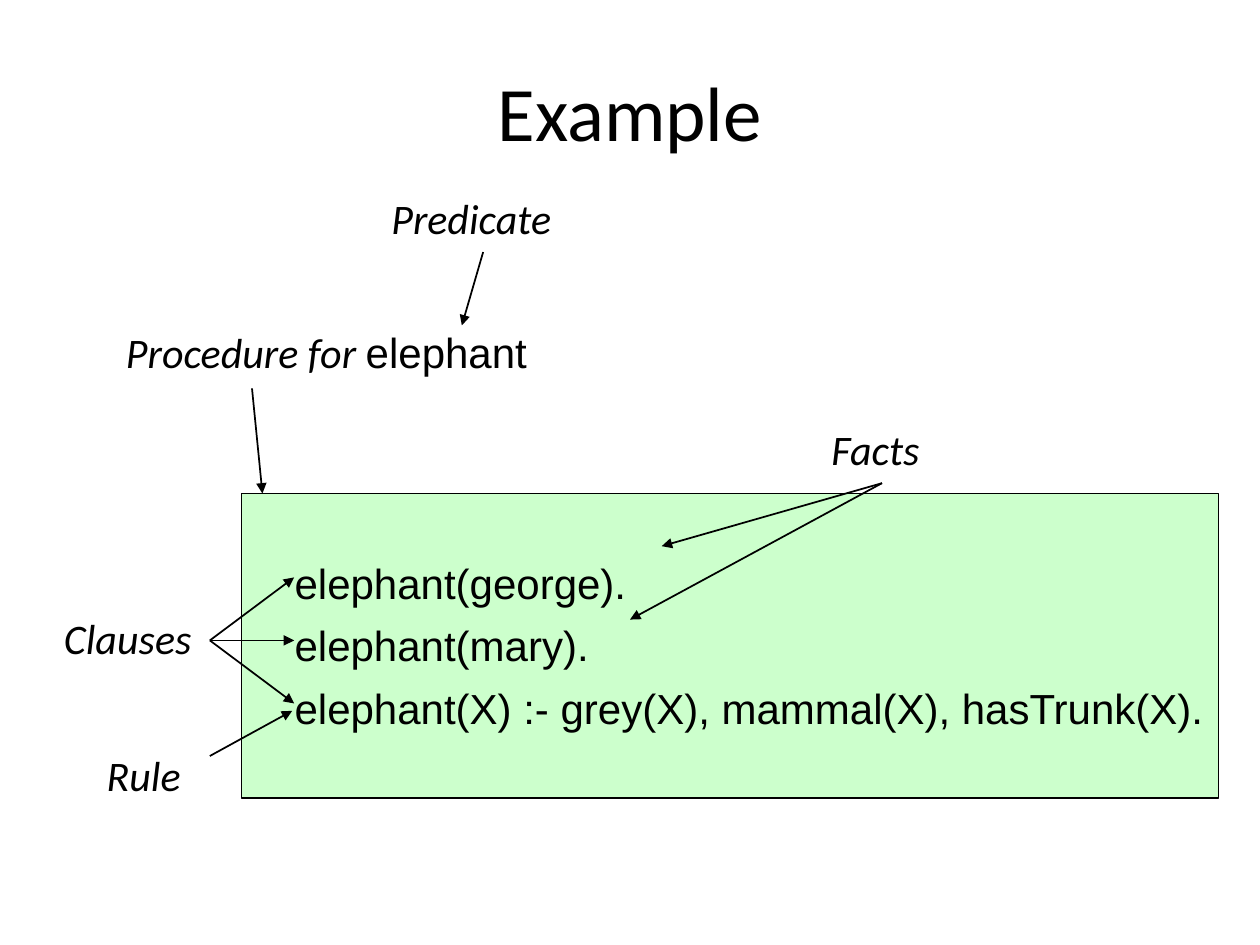
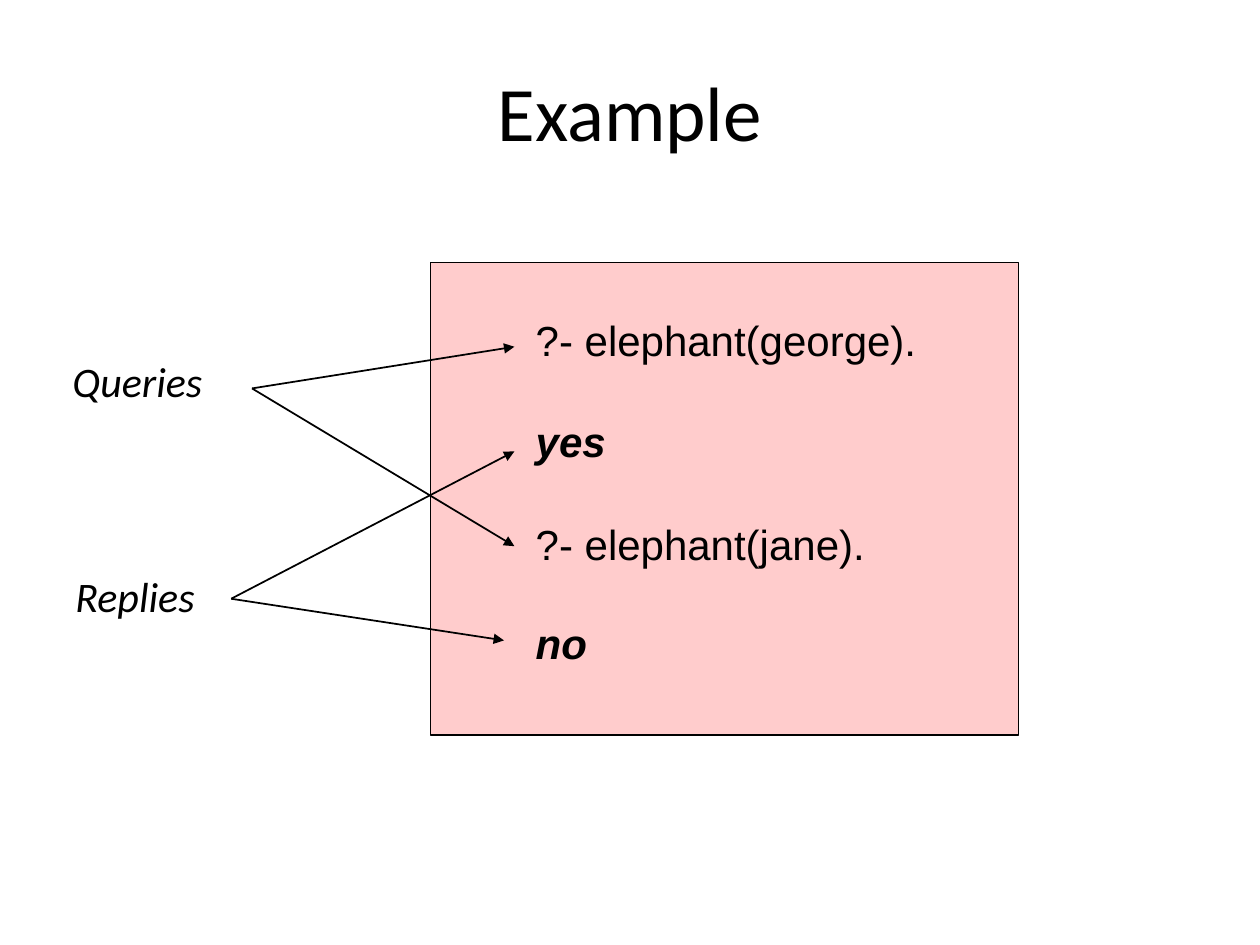
from lxml import etree
from pptx import Presentation
from pptx.dml.color import RGBColor
from pptx.enum.shapes import MSO_CONNECTOR, MSO_SHAPE
from pptx.enum.text import PP_ALIGN
from pptx.oxml.ns import qn
from pptx.util import Cm, Pt

LINE = MSO_CONNECTOR.STRAIGHT
RECT = MSO_SHAPE.RECTANGLE
MID, LEFT = PP_ALIGN.CENTER, PP_ALIGN.LEFT

HUES = {"ink": "000000", "green": "CCFFCC", "pink": "FFCCCC"}
WIDE, HIGH = 25.4, 19.05
ROW = 1.08

STYLES = {
    "title": ("Calibri", 44, False, False),
    "label": ("Calibri", 24, False, True),
    "code": ("Arial", 24, False, False),
    "reply": ("Arial", 24, True, True),
}

TITLE = (0, 1.3, WIDE, [[("Example", "title")]])

SLIDES = [
    {
        "panel": (4.87, 9.95, 19.69, 6.14, "green"),
        "texts": [
            (7.89, 3.89, 3.6, [[("Predicate", "label")]]),
            (2.54, 6.58, 8.8, [[("Procedure for ", "label"), ("elephant", "code")]]),
            (16.76, 8.53, 2.2, [[("Facts", "label")]]),
            (1.29, 12.34, 2.9, [[("Clauses", "label")]]),
            (2.15, 15.11, 1.9, [[("Rule", "label")]]),
            (5.94, 11.23, 18.8, [
                [("elephant(george).", "code")],
                [("elephant(mary).", "code")],
                [("elephant(X) :- grey(X), mammal(X), hasTrunk(X).", "code")],
            ]),
        ],
        "fans": [
            ((9.74, 5.08), [(9.31, 6.56)]),
            ((5.08, 7.83), [(5.29, 9.95)]),
            ((4.23, 12.91), [(5.93, 12.91 + 1.27 * n) for n in (-1, 0, 1)]),
            ((4.23, 15.24), [(5.89, 14.33)]),
            ((17.78, 9.74), [(13.34, 11.01), (12.7, 12.49)]),
        ],
    },
    {
        "panel": (8.68, 5.29, 11.85, 9.53, "pink"),
        "texts": [
            (10.8, 6.35, 8.5, [[("?- elephant(george).", "code")]]),
            (10.8, 8.38, 2, [[("yes", "reply")]]),
            (10.8, 10.46, 7.5, [[("?- elephant(jane).", "code")]]),
            (10.8, 12.45, 2, [[("no", "reply")]]),
            (1.46, 7.16, 3, [[("Queries", "label")]]),
            (1.52, 11.5, 3, [[("Replies", "label")]]),
        ],
        "fans": [
            ((5.08, 7.83), [(10.37, 6.99), (10.37, 11.01)]),
            ((4.66, 12.07), [(10.37, 9.1), (10.16, 12.91)]),
        ],
    },
]


def hue(name):
    return RGBColor.from_string(HUES[name])


def add_panel(slide, x, y, w, h, fill):
    panel = slide.shapes.add_shape(RECT, Cm(x), Cm(y), Cm(w), Cm(h))
    panel.shadow.inherit = False
    panel.fill.solid()
    panel.fill.fore_color.rgb = hue(fill)
    panel.line.color.rgb = hue("ink")
    panel.line.width = Pt(0.75)


def add_text(slide, x, y, w, rows, align=LEFT):
    size = STYLES[rows[0][0][1]][1]
    high = ROW * len(rows) * size / 24
    frame = slide.shapes.add_textbox(Cm(x), Cm(y), Cm(w), Cm(high)).text_frame
    frame.word_wrap = True
    frame.margin_left = frame.margin_right = 0
    frame.margin_top = frame.margin_bottom = 0
    for n, row in enumerate(rows):
        para = frame.add_paragraph() if n else frame.paragraphs[0]
        para.alignment = align
        para.space_before = Pt(7 if n else 0)
        for words, style in row:
            run = para.add_run()
            run.text = words
            font = run.font
            font.name, size, font.bold, font.italic = STYLES[style]
            font.size = Pt(size)
            font.color.rgb = hue("ink")


def add_arrow(slide, start, end):
    ends = [Cm(v) for v in start + end]
    arrow = slide.shapes.add_connector(LINE, *ends)
    arrow.line.color.rgb = hue("ink")
    arrow.line.width = Pt(1)
    props = arrow.line._get_or_add_ln()
    etree.SubElement(props, qn("a:tailEnd"), type="triangle")
    etree.SubElement(arrow._element.spPr, qn("a:effectLst"))


def main():
    deck = Presentation()
    deck.slide_width, deck.slide_height = Cm(WIDE), Cm(HIGH)
    for page in SLIDES:
        slide = deck.slides.add_slide(deck.slide_layouts[6])
        add_panel(slide, *page["panel"])
        add_text(slide, *TITLE, align=MID)
        for text in page["texts"]:
            add_text(slide, *text)
        for start, tips in page["fans"]:
            for tip in tips:
                add_arrow(slide, start, tip)
    deck.save("out.pptx")


if __name__ == "__main__":
    main()
